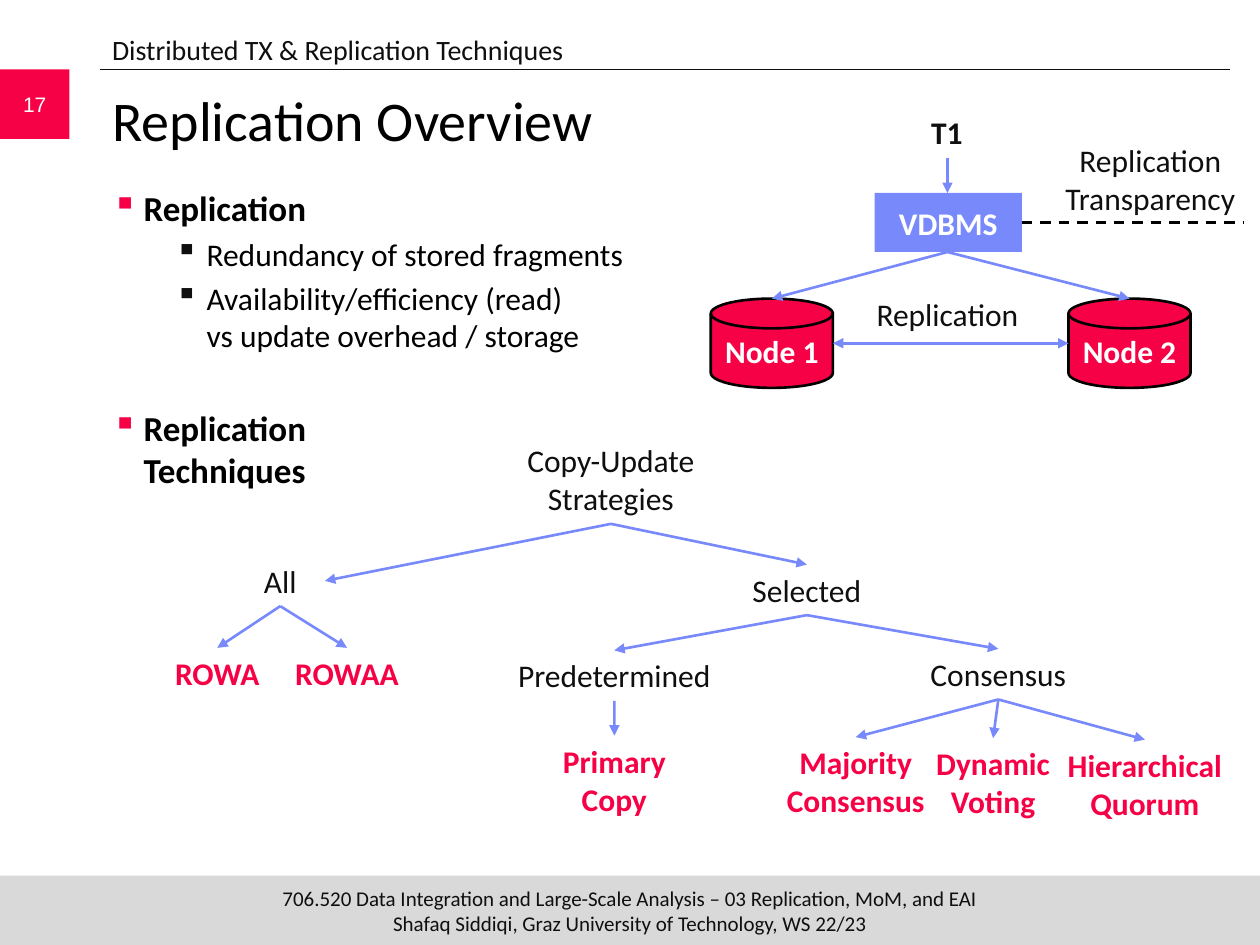
import pptx
import pptx.util
import pptx.dml.color
import pptx.enum.dml
import pptx.enum.shapes
import pptx.enum.text
import pptx.oxml
import pptx.oxml.ns

Cm, Pt = pptx.util.Cm, pptx.util.Pt
RGBColor = pptx.dml.color.RGBColor
SHAPE = pptx.enum.shapes.MSO_SHAPE
ALIGN = pptx.enum.text.PP_ALIGN
ANCHOR = pptx.enum.text.MSO_ANCHOR

RED = RGBColor(0xF7, 0x01, 0x46)
BLUE = RGBColor(0x78, 0x89, 0xFB)
GREY = RGBColor(0xD9, 0xD9, 0xD9)
INK = RGBColor(0x0F, 0x0F, 0x0F)
BLACK = RGBColor(0, 0, 0)
WHITE = RGBColor(255, 255, 255)


def add_text(box, text, size=18, color=INK, bold=False, kind=None, fill=None,
             font="Calibri", align=ALIGN.CENTER):
    """Add a text box, or a filled shape if kind is given; box is in cm."""
    box = [Cm(v) for v in box]
    if kind is None:
        sp = s.shapes.add_textbox(*box)
    else:
        sp = s.shapes.add_shape(kind, *box)
        sp.shadow.inherit = False
        sp.fill.solid()
        sp.fill.fore_color.rgb = fill
        sp.line.fill.background()
    tf = sp.text_frame
    tf.word_wrap = True
    tf.margin_left = tf.margin_right = 0
    tf.vertical_anchor = ANCHOR.TOP if kind is None else ANCHOR.MIDDLE
    p = tf.paragraphs[0]
    p.text = text
    p.alignment = align
    for r in p.runs:
        r.font.name, r.font.size = font, Pt(size)
        r.font.bold, r.font.color.rgb = bold, color
    return sp


def add_line(x1, y1, x2, y2, color=BLUE, width=1.5, ends=("tailEnd",)):
    """Add a straight line in cm, with an arrowhead at each of the named ends."""
    c = s.shapes.add_connector(pptx.enum.shapes.MSO_CONNECTOR.STRAIGHT,
                               Cm(x1), Cm(y1), Cm(x2), Cm(y2))
    c.line.color.rgb = color
    c.line.width = Pt(width)
    ln = c.line._get_or_add_ln()
    for end in ends:
        pptx.oxml.ns.qn("a:" + end)
        ln.append(ln.makeelement(pptx.oxml.ns.qn("a:" + end), {"type": "triangle"}))
    sp_pr = c._element.spPr
    sp_pr.append(sp_pr.makeelement(pptx.oxml.ns.qn("a:effectLst"), {}))
    return c


prs = pptx.Presentation()
prs.slide_width, prs.slide_height = Cm(25.4), Cm(19.05)
s = prs.slides.add_slide(prs.slide_layouts[5])

# Frame of the slide
add_text((0, 17.65, 25.4, 1.4),
         "706.520 Data Integration and Large-Scale Analysis – 03 Replication, MoM, and EAI\v"
         "Shafaq Siddiqi, Graz University of Technology, WS 22/23",
         size=12, kind=SHAPE.RECTANGLE, fill=GREY)
add_line(2.01, 1.4, 24.79, 1.4, INK, 0.5, ends=())
add_text((0, 1.4, 1.4, 1.4), "17", size=12, color=WHITE,
         kind=SHAPE.RECTANGLE, fill=RED, font="Arial")
add_text((2.26, 0.53, 22.6, 0.91), "Distributed TX & Replication Techniques",
         size=16, align=ALIGN.LEFT)

# Title
sp = s.shapes.title
sp.left, sp.top, sp.width, sp.height = Cm(2.01), Cm(1.6), Cm(22.76), Cm(2.11)
tf = sp.text_frame
tf.text = "Replication Overview"
tf.auto_size = pptx.enum.text.MSO_AUTO_SIZE.NONE
tf.vertical_anchor = ANCHOR.TOP
p = tf.paragraphs[0]
p.alignment = ALIGN.LEFT
p.font.name, p.font.size, p.font.color.rgb = "Calibri", Pt(32), BLACK

# Bullets: text, level, space before in points
bullets = [
    ("Replication", 0, 0),
    ("Redundancy of stored fragments", 1, 3.6),
    ("Availability/efficiency (read)\vvs update overhead / storage", 1, 3.6),
    ("Replication\vTechniques", 0, 29.6),
]
tf = s.shapes.add_textbox(Cm(2.01), Cm(3.63), Cm(22.76), Cm(13.72)).text_frame
tf.word_wrap = True
for i, (text, level, space) in enumerate(bullets):
    p = tf.paragraphs[0] if i == 0 else tf.add_paragraph()
    p.text = text
    p.level = level
    p.space_before = Pt(space)
    p_pr = p._p.get_or_add_pPr()
    p_pr.set("marL", str(Cm(1.905 if level else 0.635)))
    p_pr.set("indent", str(-Cm(0.635)))
    p_pr.append(pptx.oxml.parse_xml(
        f'<a:buClr {pptx.oxml.ns.nsdecls("a")}>'
        f'<a:srgbClr val="{INK if level else RED}"/></a:buClr>'))
    p_pr.append(p_pr.makeelement(pptx.oxml.ns.qn("a:buChar"), {"char": "▪"}))
    for r in p.runs:
        r.font.name, r.font.size = "Calibri", Pt(18 if level else 20)
        r.font.bold, r.font.color.rgb = level == 0, BLACK

# Replicated database
add_text((18.52, 2.16, 1.14, 1.02), "T1", bold=True)
add_text((17.63, 3.89, 2.97, 1.19), "VDBMS", color=WHITE, bold=True,
         kind=SHAPE.RECTANGLE, fill=BLUE)
add_text((20.93, 2.72, 4.52, 1.8), "Replication Transparency")
add_text((16.13, 5.82, 5.94, 1.02), "Replication")
add_line(19.1, 3.18, 19.1, 3.89)
for name, x in (("Node 1", 14.33), ("Node 2", 21.54)):
    sp = add_text((x, 6.02, 2.46, 1.8), name, color=WHITE, bold=True,
                  kind=SHAPE.FLOWCHART_MAGNETIC_DISK, fill=RED)
    sp.line.color.rgb = BLACK
    sp.line.width = Pt(1.5)
    add_line(19.1, 5.08, x + 1.23, 6.02)
add_line(16.79, 6.92, 21.54, 6.92, ends=("headEnd", "tailEnd"))
c = add_line(20.6, 4.49, 25.07, 4.49, BLACK, ends=())
c.line.dash_style = pptx.enum.dml.MSO_LINE.DASH

# Tree of techniques: text, parent, left, top, width, lines
TOP, BOTTOM, RIGHT = 0, 2, 3
tree = [
    ("Copy-Update Strategies", None, 10.08, 8.76, 4.47, 2),
    ("All", "Copy-Update Strategies", 4.75, 11.2, 1.8, 1),
    ("Selected", "Copy-Update Strategies", 14.4, 11.38, 3.73, 1),
    ("Predetermined", "Selected", 10.29, 13.11, 4.19, 1),
    ("Consensus", "Selected", 18.03, 13.08, 4.19, 1),
    ("ROWA", "All", 3.48, 13.06, 1.8, 1),
    ("ROWAA", "All", 5.89, 13.06, 2.21, 1),
    ("Primary Copy", "Predetermined", 11.18, 14.83, 2.41, 2),
    ("Majority Consensus", "Consensus", 15.75, 14.86, 3, 2),
    ("Dynamic Voting", "Consensus", 18.52, 14.88, 3, 2),
    ("Hierarchical Quorum", "Consensus", 21.29, 14.91, 3.58, 2),
]
parents = {parent for _, parent, *_ in tree}
nodes = {}
for text, parent, x, y, width, lines in tree:
    leaf = text not in parents
    nodes[text] = add_text((x, y, width, 1.8 if lines == 2 else 1.02), text,
                           color=RED if leaf else INK, bold=leaf)
    if parent:
        c = add_line(0, 0, 1, 1)
        c.begin_connect(nodes[parent], BOTTOM)
        c.end_connect(nodes[text], RIGHT if text == "All" else TOP)

prs.save("out.pptx")
